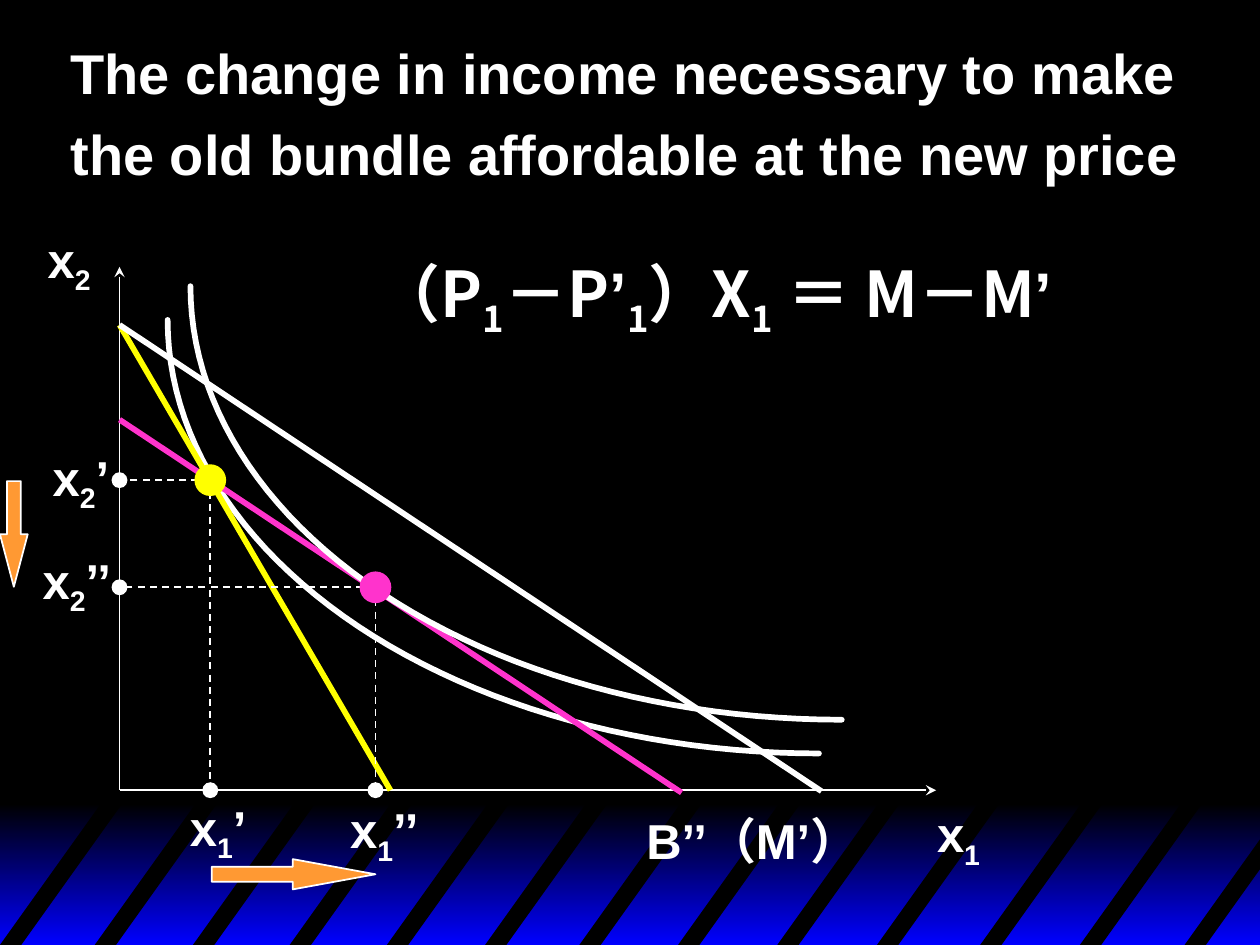
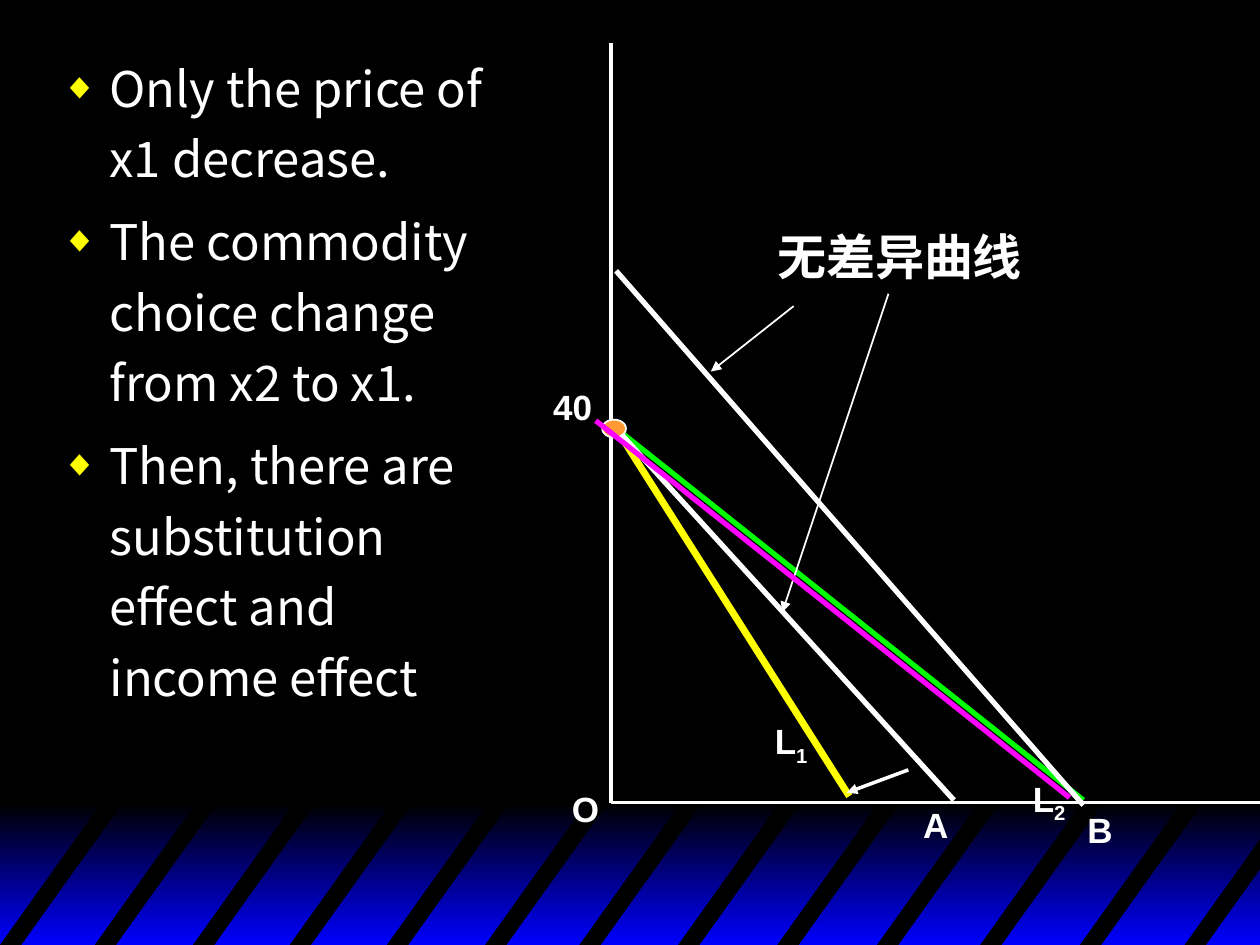
from itertools import groupby
from math import cos, pi, sin

from pptx import Presentation
from pptx.dml.color import RGBColor
from pptx.enum.dml import MSO_LINE_DASH_STYLE as Dash
from pptx.enum.shapes import MSO_CONNECTOR as Link, MSO_SHAPE as Preset
from pptx.oxml.ns import qn
from pptx.oxml.xmlchemy import OxmlElement as new_element
from pptx.util import Cm, Pt

WIDTH, HEIGHT = 25.4, 19.05
BLACK, WHITE, BLUE = "000000", "FFFFFF", "0000FF"
YELLOW, PINK, ORANGE = "FFFF00", "FF33CC", "FF9933"
GREEN, MAGENTA = "00FF00", "FF00FF"
LATIN, CJK = "Arial", "Noto Sans CJK SC"
STRIPE_STARTS = (0, 1.91, 3.89, 5.84, 7.8, 9.78, 11.68, 13.67, 15.67, 17.68,
                 19.76, 21.77, 23.88)


def colour(value):
    return RGBColor.from_string(value)


def assign(target, values):
    for name, value in values.items():
        setattr(target, name, value)


def add_child(parent, tag, **attributes):
    child = new_element(tag)
    for name, value in attributes.items():
        child.set(name, value)
    parent.append(child)


def split_spans(text):
    """Yield (text, lowered) pairs; an underscore lowers the next character."""
    lead, *rest = text.split("_")
    yield lead, False
    for piece in rest:
        yield piece[0], True
        yield piece[1:], False


class SlideArtist:
    """Draws on the current page; all lengths are in centimetres."""

    def __init__(self):
        self.deck = Presentation()
        assign(self.deck, {"slide_width": Cm(WIDTH), "slide_height": Cm(HEIGHT)})
        backdrop = self.deck.slide_master.background.fill
        backdrop.solid()
        backdrop.fore_color.rgb = colour(BLACK)

    def new_page(self):
        self.page = self.deck.slides.add_slide(self.deck.slide_layouts[6])
        self.striped_band()

    def paint(self, shape, fill=None, line=None, width=1):
        shape.shadow.inherit = False
        if fill:
            shape.fill.solid()
            shape.fill.fore_color.rgb = colour(fill)
        else:
            shape.fill.background()
        if line:
            shape.line.color.rgb = colour(line)
            shape.line.width = Pt(width)
        else:
            shape.line.fill.background()

    def striped_band(self):
        band = self.shape(Preset.RECTANGLE, 0, 16.2, WIDTH, HEIGHT - 16.2)
        band.fill.gradient()
        band.fill.gradient_angle = 270
        for stop, position, shade in zip(band.fill.gradient_stops, (0, 1), (BLACK, BLUE)):
            stop.position = position
            stop.color.rgb = colour(shade)
        lean, thickness, slope = 2.12, 0.43, 1.4
        for left in STRIPE_STARTS:
            right = left + thickness
            left_reach, right_reach = (min(lean, WIDTH - x) for x in (left, right))
            self.outline([(left, HEIGHT),
                          (left + left_reach, HEIGHT - slope * left_reach),
                          (right + right_reach, HEIGHT - slope * right_reach),
                          (right, HEIGHT)], closed=True, fill=BLACK)

    def outline(self, points, closed, **style):
        start, *others = [(Cm(x), Cm(y)) for x, y in points]
        builder = self.page.shapes.build_freeform(*start)
        builder.add_line_segments(others, close=closed)
        shape = builder.convert_to_shape()
        self.paint(shape, **style)
        return shape

    def indifference_curve(self, left, top, width=13.13, height=8.74, steps=48):
        angles = [pi / 2 * step / steps for step in range(steps + 1)]
        points = [(left + width * (1 - cos(angle)), top + height * sin(angle))
                  for angle in angles]
        curve = self.outline(points, closed=False, line=WHITE, width=3.25)
        curve.element.spPr.find(qn("a:ln")).set("cap", "rnd")

    def shape(self, preset, left, top, width, height, adjustments=(), **style):
        shape = self.page.shapes.add_shape(preset, Cm(left), Cm(top), Cm(width), Cm(height))
        for index, value in enumerate(adjustments):
            shape.adjustments[index] = value
        self.paint(shape, **style)
        return shape

    def dot(self, x, y, size, fill):
        self.shape(Preset.OVAL, x - size / 2, y - size / 2, size, size, fill=fill)

    def line(self, start, end, shade=WHITE, width=1, dashed=False, head=None, tail=None):
        link = self.page.shapes.add_connector(
            Link.STRAIGHT, *(Cm(value) for value in (*start, *end)))
        link.line.color.rgb = colour(shade)
        link.line.width = Pt(width)
        if dashed:
            link.line.dash_style = Dash.DASH
        properties = link.element.spPr
        for tag, kind in (("a:headEnd", head), ("a:tailEnd", tail)):
            if kind:
                add_child(properties.find(qn("a:ln")), tag, type=kind)
        add_child(properties, "a:effectLst")

    def add_spans(self, para, text, size, font, bold):
        for piece, lowered in split_spans(text):
            for is_prime, letters in groupby(piece, lambda letter: letter == "’"):
                span = para.add_run()
                span.text = "".join(letters)
                assign(span.font, {"name": LATIN if is_prime else font,
                                   "size": Pt(size), "bold": bold})
                span.font.color.rgb = colour(WHITE)
                properties = span._r.get_or_add_rPr()
                if lowered:
                    properties.set("baseline", "-25000")
                add_child(properties, "a:ea", typeface=CJK)

    def text(self, lines, left, top, width, height, size=28, font=LATIN, bold=True,
             wrap=True, spacing=None, gap=0, bullets=False):
        box = self.page.shapes.add_textbox(Cm(left), Cm(top), Cm(width), Cm(height))
        frame = box.text_frame
        frame.word_wrap = wrap
        for index, line in enumerate(lines):
            para = frame.add_paragraph() if index else frame.paragraphs[0]
            assign(para, {"line_spacing": spacing, "space_before": Pt(gap if index else 0)})
            if bullets:
                self.bullet(para)
            self.add_spans(para, line, size, font, bold)

    def bullet(self, para):
        properties = para._p.get_or_add_pPr()
        properties.set("marL", str(Cm(0.97)))
        properties.set("indent", str(-Cm(0.97)))
        shade = new_element("a:buClr")
        add_child(shade, "a:srgbClr", val=YELLOW)
        properties.append(shade)
        add_child(properties, "a:buSzPct", val="75000")
        add_child(properties, "a:buFont", typeface=LATIN)
        add_child(properties, "a:buChar", char="◆")

    def label(self, text, left, top, width, height=1.6):
        self.text([text], left, top, width, height, wrap=False)

    def small_label(self, text, left, top, width=1.4, height=1.12):
        self.text([text], left, top, width, height, size=20)


def income_change_page(artist):
    artist.new_page()
    artist.text(["The change in income necessary to make",
                 "the old bundle affordable at the new price"],
                1.17, 0.38, 24.1, 4, size=32, spacing=1.2)
    artist.text(["（P_1－P’_1）X_1 ＝ M－M’"], 7.37, 5, 17.8, 2.1, size=36, font=CJK)

    axis_x, axis_y = 2.41, 15.93
    old_choice, new_choice = (4.24, 9.68), (7.57, 11.84)
    artist.label("x_2", 0.71, 4.5, 1.37)
    artist.line((axis_x, 5.38), (axis_x, axis_y), head="stealth")
    artist.line((axis_x, axis_y), (18.87, axis_y), tail="stealth")
    artist.label("x_1", 18.64, 16.08, 1.37)

    artist.indifference_curve(3.38, 6.45)
    for top, end, shade in ((6.55, (7.87, 15.93), YELLOW),
                            (6.55, (16.56, 15.95), WHITE),
                            (8.46, (13.74, 15.98), PINK)):
        artist.line((axis_x, top), end, shade, 3.25)
    artist.indifference_curve(3.84, 5.77)

    choices = (old_choice, new_choice)
    for x, y in choices:
        artist.line((x, y), (x, axis_y), dashed=True)
        artist.line((x, y), (axis_x, y), dashed=True)
    for choice, shade in zip(choices, (YELLOW, PINK)):
        artist.dot(*choice, 0.64, shade)
    for x, y in choices:
        artist.dot(axis_x, y, 0.32, WHITE)
        artist.dot(x, axis_y, 0.32, WHITE)

    for name, left, top, width in (("x_2’", 0.81, 8.89, 1.65), ("x_2’’", 0.61, 10.97, 1.93),
                                   ("x_1’", 3.58, 15.95, 1.65), ("x_1’’", 6.81, 16, 1.93)):
        artist.label(name, left, top, width)
    artist.shape(Preset.DOWN_ARROW, 0, 9.7, 0.56, 2.13, (0.5, 1.89), fill=ORANGE, line=WHITE)
    artist.shape(Preset.RIGHT_ARROW, 4.27, 17.32, 3.3, 0.61, (0.5, 2.73),
                 fill=ORANGE, line=WHITE)
    artist.label("B’’（M’）", 12.78, 16.21, 5.54, 1.45)


def price_decrease_page(artist):
    artist.new_page()
    artist.text(["Only the price of x1 decrease.",
                 "The commodity choice change from x2 to x1.",
                 "Then, there are substitution effect and income effect"],
                0.99, 0.81, 9.35, 15.49, font=CJK, bold=False, spacing=1.2, gap=7,
                bullets=True)

    origin = (12.32, 16.18)
    artist.line(origin, (WIDTH, 16.18), width=2)
    artist.small_label("40", 10.9, 7.65)
    artist.line((12.32, 8.48), (17.12, 16.05), YELLOW, 4)
    artist.line((18.31, 15.52), (17.07, 15.98), width=2, tail="triangle")
    artist.line((12.32, 0.86), origin, width=2)
    artist.line((12.29, 8.53), (21.84, 16.13), GREEN, 3)
    artist.small_label("L_2", 20.57, 15.54, 1.9)
    artist.small_label("L_1", 15.37, 14.38, 1.9)
    artist.line((12.42, 8.64), (19.23, 16.13), width=3)
    artist.line((21.84, 16.23), (12.42, 5.46), width=3)
    for name, left, top in (("O", 11.28, 15.75), ("A", 18.36, 16.08), ("B", 21.67, 16.18)):
        artist.small_label(name, left, top)
    artist.shape(Preset.OVAL, 12.14, 8.46, 0.48, 0.36, fill=ORANGE, line=WHITE)

    artist.label("无差异曲线", 15.42, 4.45, 5.44, 1.45)
    artist.line((16, 6.17), (14.33, 7.49), tail="triangle")
    artist.line((17.91, 5.92), (15.77, 12.34), tail="triangle")
    artist.line((12.01, 8.48), (21.56, 16.08), MAGENTA, 3)


def main():
    artist = SlideArtist()
    income_change_page(artist)
    price_decrease_page(artist)
    artist.deck.save("out.pptx")


if __name__ == "__main__":
    main()
